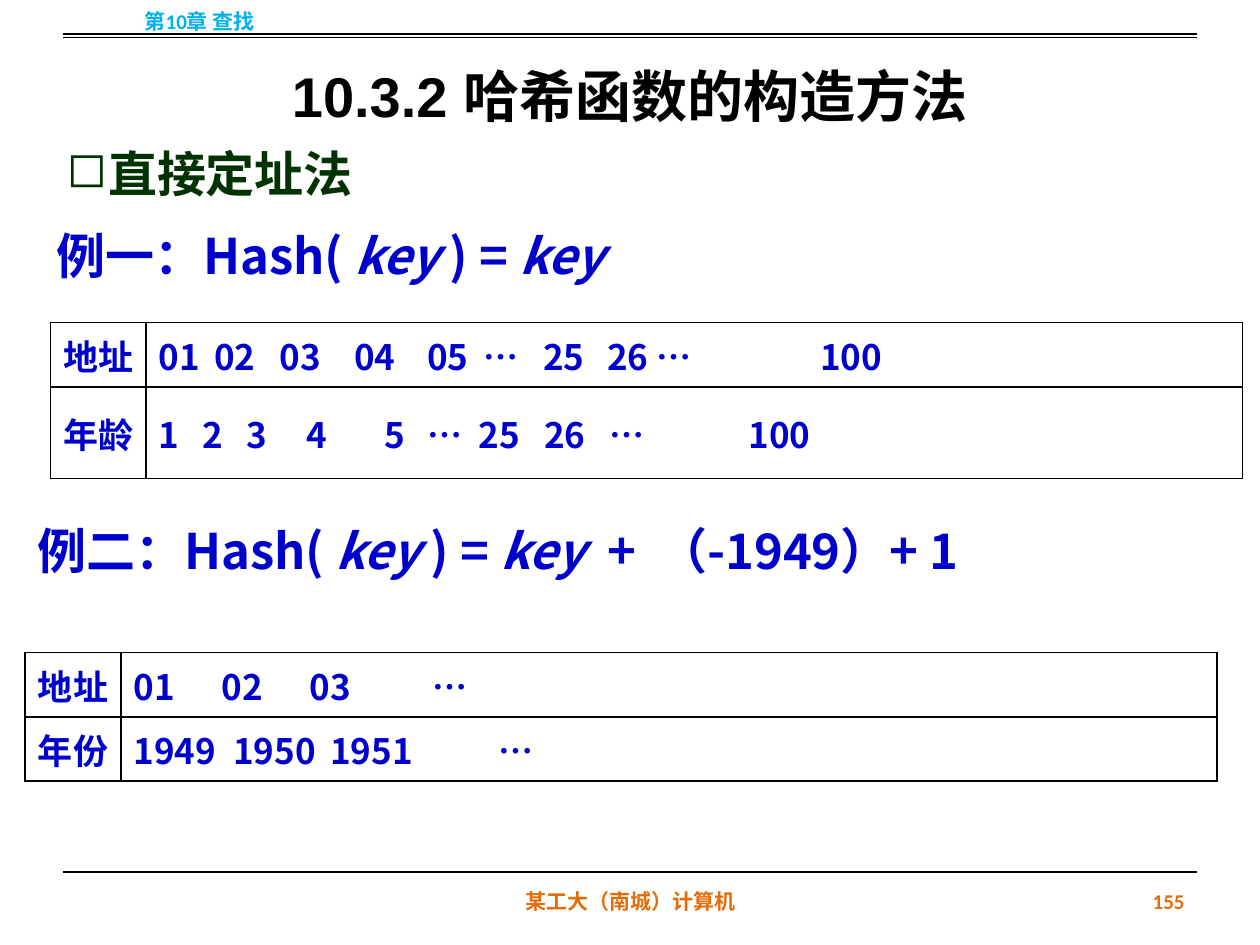
from lxml.etree import SubElement as Sub
from pptx import Presentation
from pptx.dml.color import RGBColor as Rgb
from pptx.enum.shapes import MSO_CONNECTOR as Conn
from pptx.enum.text import MSO_ANCHOR as Anchor, PP_ALIGN as Align
from pptx.oxml.ns import qn
from pptx.util import Inches, Pt

SANS = "Noto Sans CJK SC"
BLUE = "0000CC"
ORANGE = "E46C0A"


def color(code):
    return Rgb.from_string(code)


def style(para, size, face, code):
    for run in para.runs:
        font = run.font
        font.size, font.name, font.bold = Pt(size), face, True
        font.color.rgb = color(code)
        Sub(run._r.get_or_add_rPr(), qn("a:ea"), typeface=SANS)


def add_text(slide, box, text, size, face, code,
             align=Align.LEFT, anchor=Anchor.MIDDLE):
    frame = slide.shapes.add_textbox(*map(Inches, box)).text_frame
    frame.word_wrap = True
    frame.vertical_anchor = anchor
    para = frame.paragraphs[0]
    para.text = text
    para.alignment = align
    style(para, size, face, code)
    return para


def add_rule(slide, y):
    line = slide.shapes.add_connector(
        Conn.STRAIGHT, Inches(0.5), Inches(y), Inches(9.5), Inches(y))
    line.line.color.rgb = color("000000")
    line.line.width = Pt(0.75)
    Sub(line._element.spPr, qn("a:effectLst"))


def add_bullet(para, mark, gap):
    props = para._p.get_or_add_pPr()
    props.set("marL", str(Inches(gap)))
    props.set("indent", str(-Inches(gap)))
    Sub(props, qn("a:buChar"), char=mark)


def add_tabs(para, stops):
    tabs = Sub(para._p.get_or_add_pPr(), qn("a:tabLst"))
    for stop in stops:
        Sub(tabs, qn("a:tab"), pos=str(Inches(stop)), algn="l")


def add_hash(slide, x, y, width, parts):
    frame = slide.shapes.add_textbox(
        Inches(x), Inches(y), Inches(width), Inches(0.57)).text_frame
    frame.word_wrap = False
    para = frame.paragraphs[0]
    for part in parts:
        run = para.add_run()
        run.text = part
        run.font.italic = part == "key"
    style(para, 28, SANS, BLUE)


def add_border(cell):
    props = cell._tc.get_or_add_tcPr()
    for side in ("lnL", "lnR", "lnT", "lnB"):
        line = Sub(props, qn("a:" + side), w=str(Pt(1)))
        Sub(Sub(line, qn("a:solidFill")), qn("a:srgbClr"), val="000000")


def fill_cell(cell, text, align):
    add_border(cell)
    cell.fill.background()
    cell.vertical_anchor = Anchor.MIDDLE
    para = cell.text_frame.paragraphs[0]
    para.text = text
    para.alignment = align
    style(para, 20, SANS, BLUE)
    return para


def add_grid(slide, x, y, rows):
    high = sum(row[0] for row in rows)
    table = slide.shapes.add_table(
        len(rows), 2, Inches(x), Inches(y), Inches(9.46), Inches(high)).table
    table.first_row = table.horz_banding = False
    table.columns[0].width = Inches(0.76)
    table.columns[1].width = Inches(8.7)
    for i, (height, label, items, stops) in enumerate(rows):
        table.rows[i].height = Inches(height)
        fill_cell(table.cell(i, 0), label, Align.CENTER)
        text = "\t".join(items.split())
        add_tabs(fill_cell(table.cell(i, 1), text, Align.LEFT), stops)


def main():
    deck = Presentation()
    deck.slide_width, deck.slide_height = Inches(10), Inches(7.5)
    slide = deck.slides.add_slide(deck.slide_layouts[6])

    title = add_text(slide, (0.5, 0, 9, 1.25), "10.3.2 哈希函数的构造方法",
                     32, "Arial", "000000", Align.CENTER)
    title.line_spacing = 1.5
    add_text(slide, (3.42, 6.95, 3.17, 0.4), "某工大（南城）计算机",
             12, "Calibri", ORANGE, Align.CENTER)
    add_text(slide, (7.17, 6.95, 2.33, 0.4), "155",
             12, "Calibri", ORANGE, Align.RIGHT)
    add_text(slide, (0, -0.03, 3.17, 0.4), "第10章 查找",
             12, "Calibri", "00B0F0", Align.CENTER)
    for y in (0.27, 0.3, 6.92):
        add_rule(slide, y)

    topic = add_text(slide, (0.43, 1.09, 3.07, 0.57), "直接定址法",
                     28, "Times New Roman", "003300", anchor=Anchor.TOP)
    add_bullet(topic, "◻", 0.33)

    add_hash(slide, 0.35, 1.74, 4.7, ("例一：Hash( ", "key", " ) = ", "key"))
    add_grid(slide, 0.4, 2.56, (
        (0.51, "地址", "01 02 03 04 05 … 25 26 … 100",
         (0.44, 0.96, 1.55, 2.13, 2.58, 3.05, 3.56, 3.95, 5.25)),
        (0.73, "年龄", "1 2 3 4 5 … 25 26 … 100",
         (0.35, 0.7, 1.17, 1.79, 2.13, 2.54, 3.06, 3.58, 4.68))))

    add_hash(slide, 0.2, 4.08, 8.04, (
        "例二：Hash( ", "key", " ) = ", "key", "  +  （-1949）+ 1"))
    add_grid(slide, 0.2, 5.18, (
        (0.51, "地址", "01 02 03 …", (0.7, 1.4, 2.37)),
        (0.51, "年份", "1949 1950 1951 …", (0.79, 1.56, 2.9))))

    deck.save("out.pptx")


if __name__ == "__main__":
    main()
